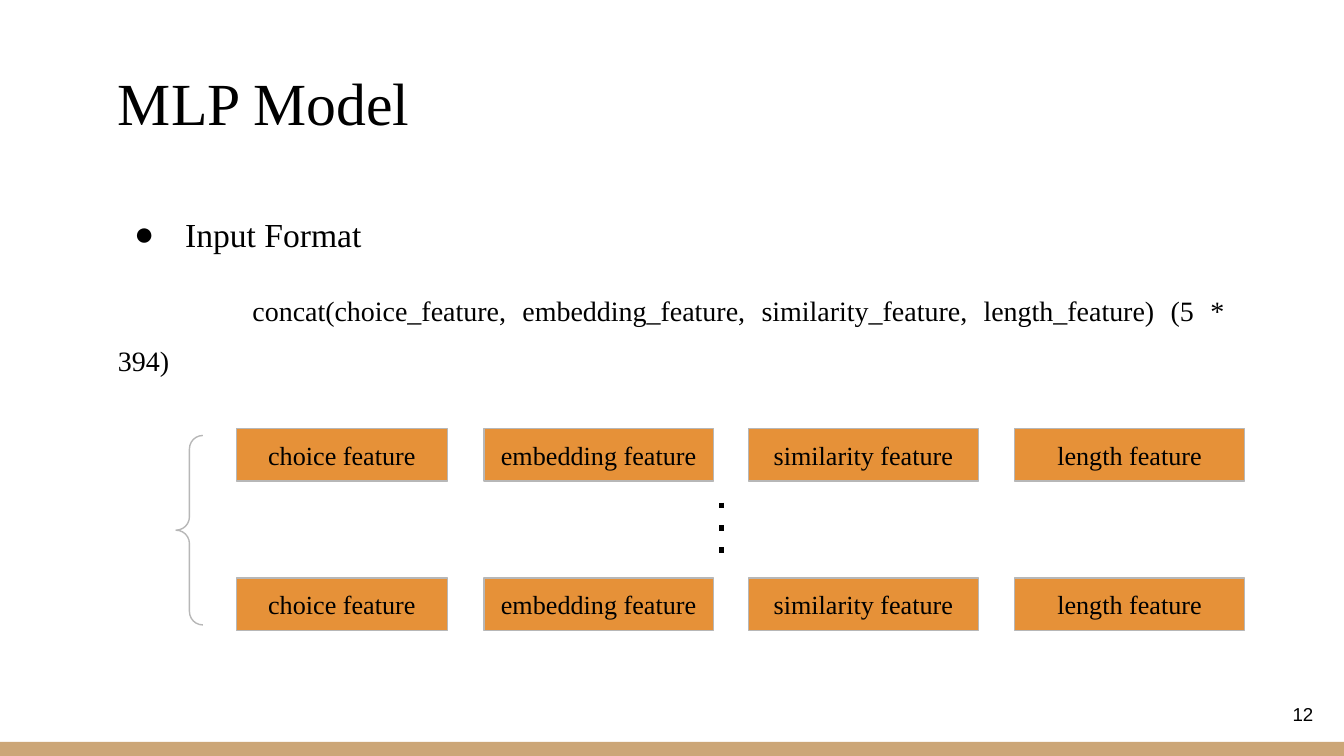
from lxml.etree import SubElement
from pptx import Presentation
from pptx.dml.color import RGBColor
from pptx.enum.shapes import MSO_CONNECTOR, MSO_SHAPE as Shape
from pptx.enum.text import MSO_ANCHOR as Anchor, PP_ALIGN as Align
from pptx.oxml.ns import qn
from pptx.util import Inches, Pt

SERIF = "Times New Roman"
BLACK, GREY, ORANGE, TAN = "000000", "B7B7B7", "E69138", "CCA677"
FEATURES = [
    ("choice feature", 1.76, 1.57),
    ("embedding feature", 3.6, 1.71),
    ("similarity feature", 5.57, 1.71),
    ("length feature", 7.55, 1.71),
]
ROW_TOPS = (3.19, 4.3)


def color(value):
    return RGBColor.from_string(value)


def prepare_frame(box, anchor):
    frame = box.text_frame
    frame.word_wrap = True
    frame.vertical_anchor = anchor
    frame.margin_left = frame.margin_right = Inches(0.1)
    frame.margin_top = frame.margin_bottom = Inches(0.1)
    return frame


def write(para, text, size, font=SERIF, align=Align.LEFT, spacing=None, before=None, after=None):
    para.alignment = align
    para.line_spacing = spacing
    para.space_before = None if before is None else Pt(before)
    para.space_after = None if after is None else Pt(after)
    span = para.add_run()
    span.text = text
    span.font.size = Pt(size)
    span.font.name = font
    span.font.color.rgb = color(BLACK)


def add_bullet(para, indent, hanging):
    props = para._p.get_or_add_pPr()
    props.set("marL", str(Inches(indent)))
    props.set("indent", str(-Inches(hanging)))
    SubElement(SubElement(props, qn("a:buClr")), qn("a:srgbClr"), val=BLACK)
    SubElement(props, qn("a:buFont"), typeface=SERIF)
    SubElement(props, qn("a:buChar"), char="●")


def add_tab_stop(para, position):
    stops = SubElement(para._p.get_or_add_pPr(), qn("a:tabLst"))
    SubElement(stops, qn("a:tab"), pos=str(Inches(position)), algn="l")


def add_text_box(page, left, top, width, height, anchor=Anchor.TOP):
    box = page.shapes.add_textbox(Inches(left), Inches(top), Inches(width), Inches(height))
    return prepare_frame(box, anchor)


def add_plain_shape(shapes, kind, left, top, width, height, fill=None, line=None):
    shape = shapes.add_shape(kind, Inches(left), Inches(top), Inches(width), Inches(height))
    shape.shadow.inherit = False
    if fill:
        shape.fill.solid()
        shape.fill.fore_color.rgb = color(fill)
    else:
        shape.fill.background()
    if line:
        shape.line.color.rgb = color(line)
        shape.line.width = Pt(0.75)
    else:
        shape.line.fill.background()
    return shape


def add_feature_row(page, top):
    row = page.shapes.add_group_shape()
    for label, left, width in FEATURES:
        box = add_plain_shape(row.shapes, Shape.RECTANGLE, left, top, width, 0.39, ORANGE, GREY)
        frame = prepare_frame(box, Anchor.MIDDLE)
        write(frame.paragraphs[0], label, 14, align=Align.CENTER)


def add_dotted_line(page, x, top, bottom):
    dots = page.shapes.add_connector(
        MSO_CONNECTOR.STRAIGHT, Inches(x), Inches(top), Inches(x), Inches(bottom))
    dots.line.color.rgb = color(BLACK)
    dots.line.width = Pt(3)
    props = dots._element.spPr
    SubElement(props.find(qn("a:ln")), qn("a:prstDash"), val="dot")
    SubElement(props, qn("a:effectLst"))


def add_body(page):
    frame = add_text_box(page, 0.78, 1.34, 8.44, 3.93)
    heading = frame.paragraphs[0]
    write(heading, "Input Format", 18, align=Align.JUSTIFY, spacing=1.5, before=10)
    add_bullet(heading, 0.5, 0.38)
    formula = frame.add_paragraph()
    write(formula,
          "\tconcat(choice_feature, embedding_feature, similarity_feature, length_feature) (5 * 394)",
          15, align=Align.JUSTIFY, spacing=1.5, before=12, after=12)
    add_tab_stop(formula, 1)


def main():
    deck = Presentation()
    deck.slide_width = Inches(10)
    deck.slide_height = deck.slide_width * 9 // 16
    page = deck.slides.add_slide(deck.slide_layouts[6])

    add_plain_shape(page.shapes, Shape.RECTANGLE, 0, 5.52, 10, 0.11, TAN)
    add_body(page)
    title = add_text_box(page, 0.78, 0.49, 8.44, 0.63, Anchor.BOTTOM)
    write(title.paragraphs[0], "MLP Model", 32)
    number = add_text_box(page, 9.27, 5.1, 0.6, 0.43, Anchor.MIDDLE)
    write(number.paragraphs[0], "12", 10, font="Arial", align=Align.RIGHT)

    brace = add_plain_shape(page.shapes, Shape.LEFT_BRACE, 1.31, 3.24, 0.2, 1.41, line=GREY)
    brace.adjustments[0] = 0.5
    for top in ROW_TOPS:
        add_feature_row(page, top)
    add_dotted_line(page, 5.37, 3.74, 4.13)

    deck.save("out.pptx")


if __name__ == "__main__":
    main()
